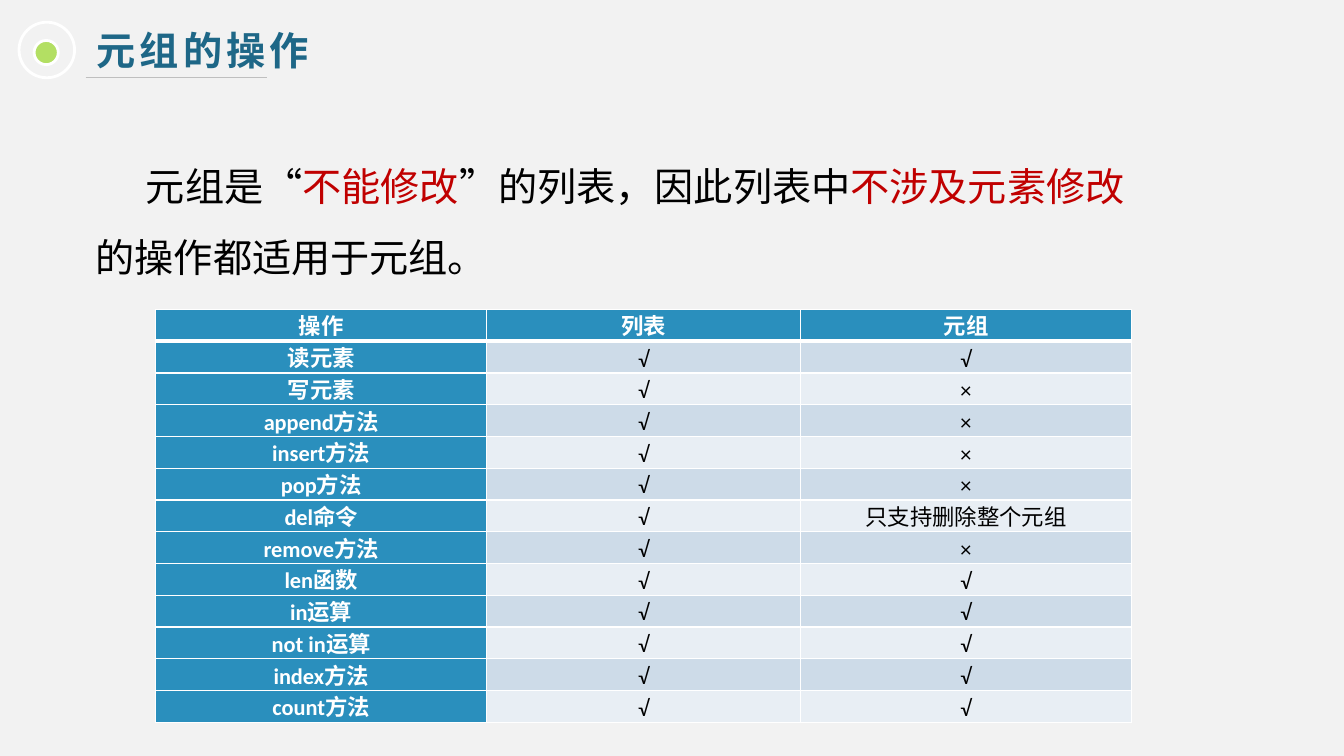
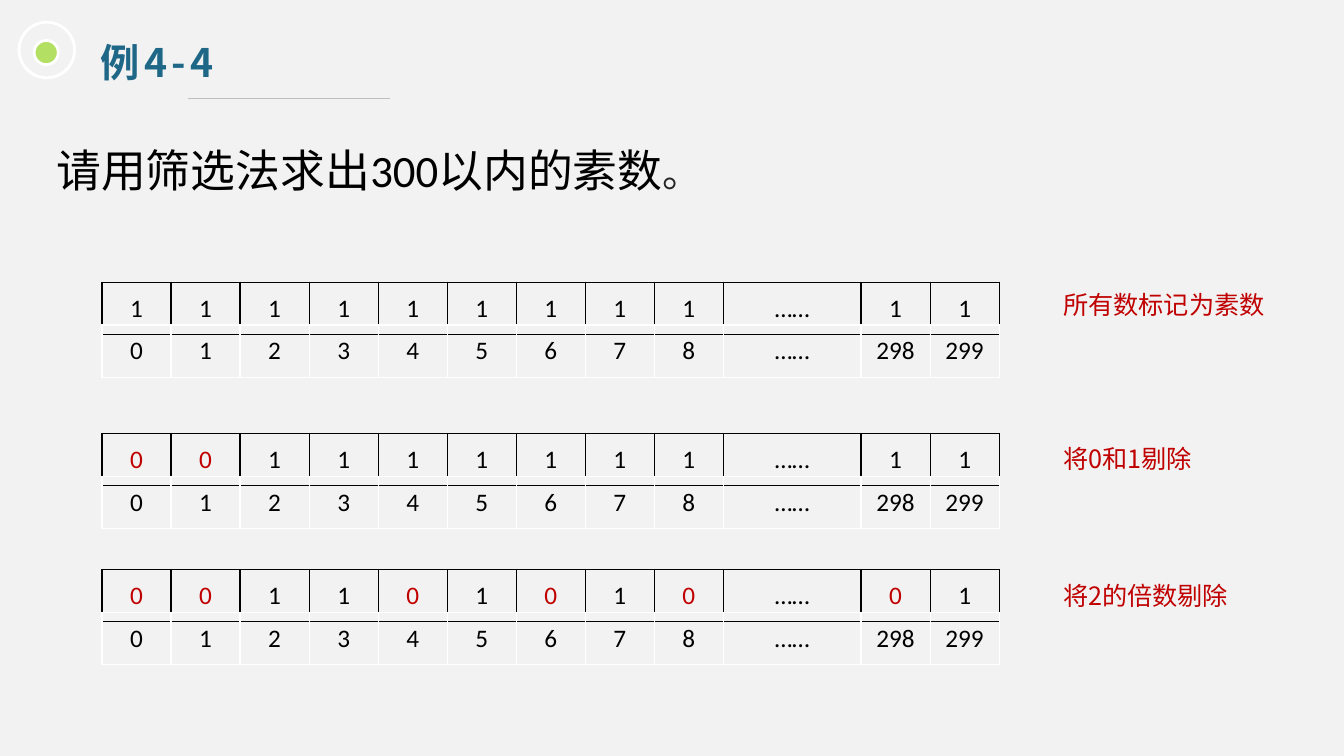
"""Build two slides on tuples and the prime sieve."""
from lxml.etree import SubElement as Sub
from pptx import Presentation
from pptx.dml.color import RGBColor as RGB
from pptx.enum.shapes import MSO_CONNECTOR as Link, MSO_SHAPE as Shape
from pptx.enum.text import MSO_ANCHOR as Anchor, PP_ALIGN as Align
from pptx.oxml.ns import qn
from pptx.util import Cm, Pt

BLACK, WHITE = RGB(0, 0, 0), RGB(255, 255, 255)
PAPER, GREY, INK = RGB(0xF2, 0xF2, 0xF2), RGB(0xBF, 0xBF, 0xBF), RGB(0x26, 0x26, 0x26)
TEAL, BLUE = RGB(0x1E, 0x67, 0x87), RGB(0x2A, 0x8F, 0xBD)
LIME, RED = RGB(0xB3, 0xDF, 0x63), RGB(0xC0, 0, 0)
BANDS = RGB(0xCD, 0xDB, 0xE8), RGB(0xE8, 0xEE, 0xF4)
SANS, HAN = "Calibri", "Noto Sans CJK SC"

INTRO = [
    ("元组是“", BLACK), ("不能修改", RED), ("”的列表，因此列表中", BLACK),
    ("不涉及元素修改", RED), ("的操作都适用于元组。", BLACK),
]
ROWS = [
    ("操作", "列表", "元组"),
    ("读元素", "√", "√"),
    ("写元素", "√", "×"),
    ("append方法", "√", "×"),
    ("insert方法", "√", "×"),
    ("pop方法", "√", "×"),
    ("del命令", "√", "只支持删除整个元组"),
    ("remove方法", "√", "×"),
    ("len函数", "√", "√"),
    ("in运算", "√", "√"),
    ("not in运算", "√", "√"),
    ("index方法", "√", "√"),
    ("count方法", "√", "√"),
]
COLS = 8.35, 7.9, 8.35
GAP = "……"
NUMS = [*range(9), GAP, 298, 299]
STEPS = [
    (7.11, (), "所有数标记为素数", 7.16, 5.64),
    (10.92, (0, 1), "将0和1剔除", 11.05, 3.84),
    (14.35, (0, 1, 4, 6, 8, 298), "将2的倍数剔除", 14.5, 4.72),
]


def style(para, size, color=BLACK, bold=False, face=SANS):
    """Set the font of a whole paragraph, for Latin and Chinese text."""
    font = para.font
    font.size, font.bold, font.name = Pt(size), bold, face
    font.color.rgb = color
    props = para._p.pPr.find(qn("a:defRPr"))
    Sub(props, qn("a:ea")).set("typeface", HAN)
    return props


def write(para, parts):
    """Add runs that differ in colour."""
    for text, color in parts:
        run = para.add_run()
        run.text = text
        run.font.color.rgb = color
    return run


def box(slide, *place):
    """Add a wrapping text box and give its first paragraph."""
    frame = slide.shapes.add_textbox(*map(Cm, place)).text_frame
    frame.word_wrap = True
    return frame.paragraphs[0]


def edge(cell, color, sides="LRTB", width=1):
    """Draw the borders of a cell."""
    props = cell._tc.get_or_add_tcPr()
    for spot, side in enumerate(sides):
        line = Sub(props, qn(f"a:ln{side}"))
        thick = 3 if side == "B" and width == 3 else 1
        line.set("w", str(Pt(thick)))
        Sub(Sub(line, qn("a:solidFill")), qn("a:srgbClr")).set("val", str(color))
        props.insert(spot, line)


def grid(slide, left, top, cols, height, rows):
    """Add a plain table filled with centred text."""
    frame = slide.shapes.add_table(
        len(rows), len(cols), Cm(left), Cm(top), Cm(sum(cols)), Cm(height * len(rows)))
    table = frame.table
    table.first_row = table.horz_banding = False
    for col, width in zip(table.columns, cols):
        col.width = Cm(width)
    for r, row in enumerate(rows):
        table.rows[r].height = Cm(height)
        for c, text in enumerate(row):
            cell = table.cell(r, c)
            cell.text = str(text)
            cell.fill.background()
            cell.vertical_anchor = Anchor.MIDDLE
            cell.text_frame.paragraphs[0].alignment = Align.CENTER
    return table


def start(deck, text, left, top, rule):
    """Add a slide with its title, rule and round badge."""
    slide = deck.slides.add_slide(deck.slide_layouts[5])
    title = slide.shapes.title
    title.left, title.top, title.width, title.height = map(Cm, (left, top, 17.37, 1.45))
    title.text = text
    title.text_frame.vertical_anchor = Anchor.MIDDLE
    para = title.text_frame.paragraphs[0]
    para.alignment = Align.LEFT
    style(para, 28, TEAL, True, HAN).set("spc", "300")

    badge = slide.shapes.add_group_shape()
    for x, y, size, fill in ((0.86, 1.02, 0.61, LIME), (0.48, 0.56, 1.4, None)):
        disc = badge.shapes.add_shape(Shape.OVAL, Cm(x), Cm(y), Cm(size), Cm(size))
        disc.shadow.inherit = False
        disc.line.color.rgb, disc.line.width = WHITE, Pt(2)
        if fill:
            disc.fill.solid()
            disc.fill.fore_color.rgb = fill
        else:
            disc.fill.background()

    x, y, width = rule
    line = slide.shapes.add_connector(Link.STRAIGHT, Cm(x), Cm(y), Cm(x + width), Cm(y))
    line.line.color.rgb, line.line.width = GREY, Pt(0.75)
    Sub(line._element.spPr, qn("a:effectLst"))
    return slide


def tuples(deck):
    """Compare what lists and tuples allow."""
    slide = start(deck, "元组的操作", 2.18, 0.53, (2.16, 1.96, 4.57))
    para = box(slide, 2.16, 3.38, 27.25, 3.63)
    para.line_spacing = 1.5
    style(para, 28, face=HAN)
    para._p.pPr.set("indent", str(Cm(1.27)))
    write(para, INTRO)

    table = grid(slide, 3.92, 7.8, COLS, 0.8, ROWS)
    table.first_row = table.first_col = True
    for r in range(len(ROWS)):
        for c in range(len(COLS)):
            cell, head = table.cell(r, c), r == 0 or c == 0
            cell.fill.solid()
            cell.fill.fore_color.rgb = BLUE if head else BANDS[(r - 1) % 2]
            cell.margin_left = cell.margin_right = Cm(0.17)
            cell.margin_top = cell.margin_bottom = 0
            cell.vertical_anchor = Anchor.BOTTOM
            para = cell.text_frame.paragraphs[0]
            para.line_spacing = Pt(12)
            style(para, 16, WHITE if head else BLACK, head)
            edge(cell, WHITE, width=3 if r == 0 else 1)


def sieve(deck):
    """Show the first steps of the sieve."""
    slide = start(deck, "例4-4", 2.29, 0.84, (4.75, 2.49, 5.08))
    para = box(slide, 1.17, 3.48, 31.14, 2)
    style(para, 32)
    stop = write(para, [("请用筛选法求出300以内的素数", BLACK), ("。", INK)])
    stop.font.size = Pt(28)

    cols = [3.47 if num == GAP else 1.74 for num in NUMS]
    for top, struck, note, high, width in STEPS:
        marks = [GAP if num == GAP else int(num not in struck) for num in NUMS]
        flags = grid(slide, 2.57, top, cols, 1.32, [marks])
        names = grid(slide, 2.57, top + 1.08, cols, 1.32, [NUMS])
        for c, num in enumerate(NUMS):
            flag = flags.cell(0, c)
            edge(flag, BLACK)
            style(flag.text_frame.paragraphs[0], 18, RED if num in struck else BLACK)
            style(names.cell(0, c).text_frame.paragraphs[0], 18)
        para = box(slide, 26.54, high, width, 1.02)
        para.text = note
        style(para, 18, RED, face=HAN)


def main():
    """Build and save the deck."""
    deck = Presentation()
    deck.slide_width, deck.slide_height = Cm(33.87), Cm(19.05)
    back = deck.slide_master.background.fill
    back.solid()
    back.fore_color.rgb = PAPER
    tuples(deck)
    sieve(deck)
    deck.save("out.pptx")


if __name__ == "__main__":
    main()
